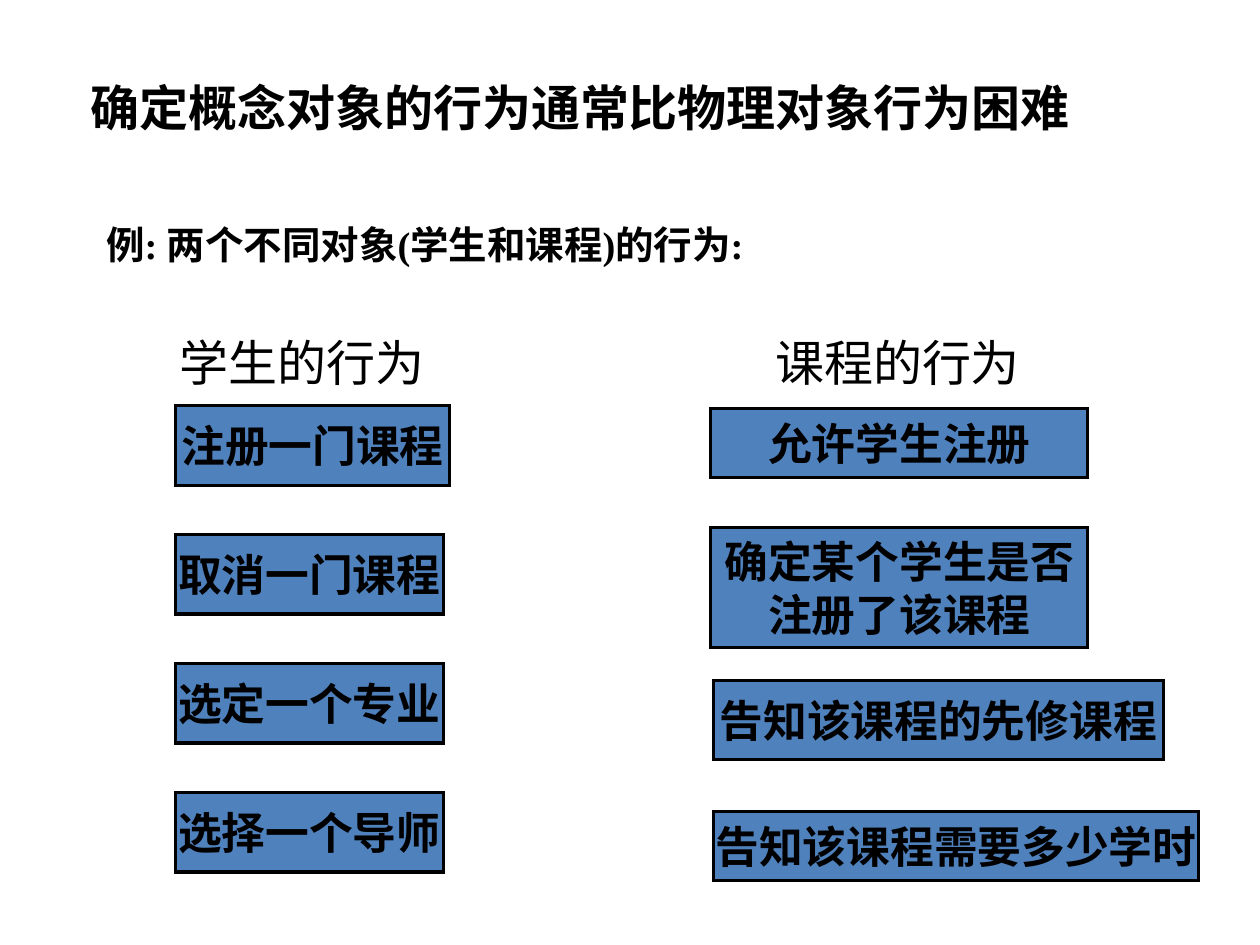
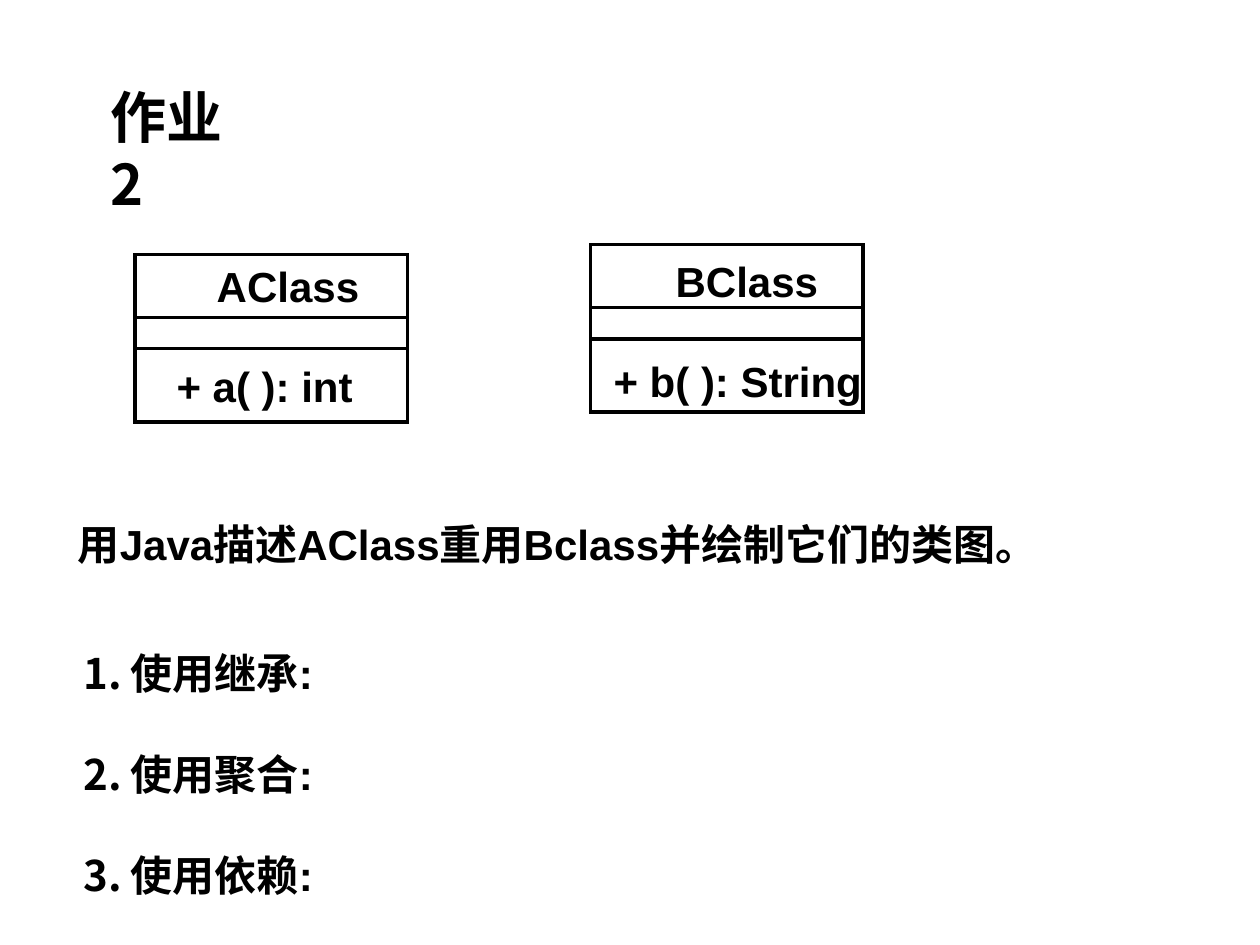
from lxml import etree
from pptx import Presentation
from pptx.dml.color import RGBColor
from pptx.enum.shapes import MSO_CONNECTOR, MSO_SHAPE
from pptx.enum.text import MSO_ANCHOR, PP_ALIGN
from pptx.oxml.ns import qn
from pptx.util import Cm, Pt

RECTANGLE = MSO_SHAPE.RECTANGLE
STRAIGHT = MSO_CONNECTOR.STRAIGHT
TOP, MIDDLE = MSO_ANCHOR.TOP, MSO_ANCHOR.MIDDLE
LEFT, CENTER = PP_ALIGN.LEFT, PP_ALIGN.CENTER

INK = "000000"
BEHAVIOUR_FILL = "4F81BD"
HEADING_FONT = "Noto Sans CJK SC"
BODY_FONT = "Arial"
EXAMPLE_FONT = "Times New Roman"
DEFAULT_INSETS = (0.25, 0.13, 0.25, 0.13)


def color(hex_string):
    return RGBColor.from_string(hex_string)


def write_text(shape, text, size, font_name, bold=True, align=LEFT,
               anchor=TOP, insets=DEFAULT_INSETS, wrap=False):
    frame = shape.text_frame
    frame.text = text
    frame.word_wrap = wrap
    frame.vertical_anchor = anchor
    (frame.margin_left, frame.margin_top,
     frame.margin_right, frame.margin_bottom) = map(Cm, insets)
    for paragraph in frame.paragraphs:
        paragraph.alignment = align
        for run in paragraph.runs:
            run.font.name = font_name
            run.font.size = Pt(size)
            run.font.bold = bold
            run.font.color.rgb = color(INK)


def add_text(slide, box, text, size, font_name, **options):
    shape = slide.shapes.add_textbox(*map(Cm, box))
    write_text(shape, text, size, font_name, **options)
    return shape


def add_rectangle(slide, box, line_width, fill=None):
    shape = slide.shapes.add_shape(RECTANGLE, *map(Cm, box))
    shape.shadow.inherit = False
    if fill:
        shape.fill.solid()
        shape.fill.fore_color.rgb = color(fill)
    else:
        shape.fill.background()
    shape.line.color.rgb = color(INK)
    shape.line.width = Pt(line_width)
    etree.SubElement(shape.line._get_or_add_ln(), qn("a:miter"), lim="800000")
    return shape


def add_divider(slide, left, top, width):
    line = slide.shapes.add_connector(
        STRAIGHT, Cm(left), Cm(top), Cm(left + width), Cm(top))
    line.line.color.rgb = color(INK)
    line.line.width = Pt(2)
    etree.SubElement(line._element.spPr, qn("a:effectLst"))


def add_behaviour_column(slide, left, heading, heading_offset, behaviours):
    """Place a heading and, below it, boxes given as (offset, top, width, height, text)."""
    add_text(slide, (left + heading_offset, 6.6, 5.13, 1.4), heading, 28,
             HEADING_FONT, bold=False, align=CENTER, anchor=MIDDLE,
             insets=(0, 0.1, 0, 0.1))
    for offset, top, width, height, text in behaviours:
        box = add_rectangle(slide, (left + offset, top, width, height), 1.75,
                            BEHAVIOUR_FILL)
        write_text(box, text, 25, HEADING_FONT, align=CENTER, anchor=MIDDLE)


def add_class_box(slide, left, top, name, name_offset, operation, operation_offset):
    """Draw a UML class; the text offsets are (right, down) from its corner."""
    width = 5.5
    add_rectangle(slide, (left, top, width, 3.38), 2)
    for depth in (1.27, 1.9):
        add_divider(slide, left, top + depth, width)
    for text, (right, down), text_width in (
            (name, name_offset, 3.38), (operation, operation_offset, 5.6)):
        add_text(slide, (left + right, top + down, text_width, 1.27), text, 24,
                 BODY_FONT, insets=(0.25, 0.13, 0, 0.13))


def add_numbered_list(slide, box, items):
    shape = add_text(slide, box, "\n".join(items), 24, BODY_FONT)
    for index, paragraph in enumerate(shape.text_frame.paragraphs):
        if index:
            paragraph.space_before = Pt(28.8)
        properties = paragraph._p.get_or_add_pPr()
        properties.set("marL", str(Cm(0.95)))
        properties.set("indent", str(-Cm(0.95)))
        etree.SubElement(properties, qn("a:buFont"), typeface=HEADING_FONT)
        etree.SubElement(properties, qn("a:buAutoNum"), type="arabicPeriod")


def build_behaviour_slide(slide):
    add_text(slide, (1.58, 1.43, 20.24, 1.45),
             "确定概念对象的行为通常比物理对象行为困难", 28, HEADING_FONT)
    add_text(slide, (1.96, 4.36, 17.86, 1.12),
             "例: 两个不同对象(学生和课程)的行为:", 22, EXAMPLE_FONT,
             insets=(0.18, 0.1, 0.18, 0.1), wrap=True)

    student_texts = ["注册一门课程", "取消一门课程", "选定一个专业", "选择一个导师"]
    student_behaviours = [
        (0, 8.18 + 2.6 * row, 5.41 if row else 5.54, 1.6, text)
        for row, text in enumerate(student_texts)]
    add_behaviour_column(slide, 3.53, "学生的行为", 0, student_behaviours)

    course_behaviours = [
        (0, 8.23, 7.6, 1.4, "允许学生注册"),
        (0, 10.64, 7.6, 2.41, "确定某个学生是否\n注册了该课程"),
        (0.05, 13.72, 9.07, 1.6, "告知该课程的先修课程"),
        (0.05, 16.36, 9.78, 1.4, "告知该课程需要多少学时"),
    ]
    add_behaviour_column(slide, 14.33, "课程的行为", 1.2, course_behaviours)


def build_homework_slide(slide):
    add_text(slide, (1.98, 1.53, 3.68, 1.63), "作业2", 32, HEADING_FONT,
             insets=(0.25, 0.13, 1, 0.13), wrap=True)
    add_class_box(slide, 2.72, 5.13, "AClass", (1.4, 0),
                  "+ a( ): int", (0.59, 2))
    add_class_box(slide, 11.9, 4.93, "BClass", (1.47, 0.1),
                  "+ b( ): String", (0.22, 2.1))
    add_text(slide, (1.32, 10.32, 21.06, 1.27),
             "用Java描述AClass重用Bclass并绘制它们的类图。", 24, BODY_FONT)
    add_numbered_list(slide, (1.44, 12.93, 5.33, 5.33),
                      ["使用继承:", "使用聚合:", "使用依赖:"])


def main():
    presentation = Presentation()
    presentation.slide_width = Cm(25.4)
    presentation.slide_height = Cm(19.05)
    blank_layout = presentation.slide_layouts[6]
    for build in (build_behaviour_slide, build_homework_slide):
        build(presentation.slides.add_slide(blank_layout))
    presentation.save("out.pptx")


if __name__ == "__main__":
    main()
